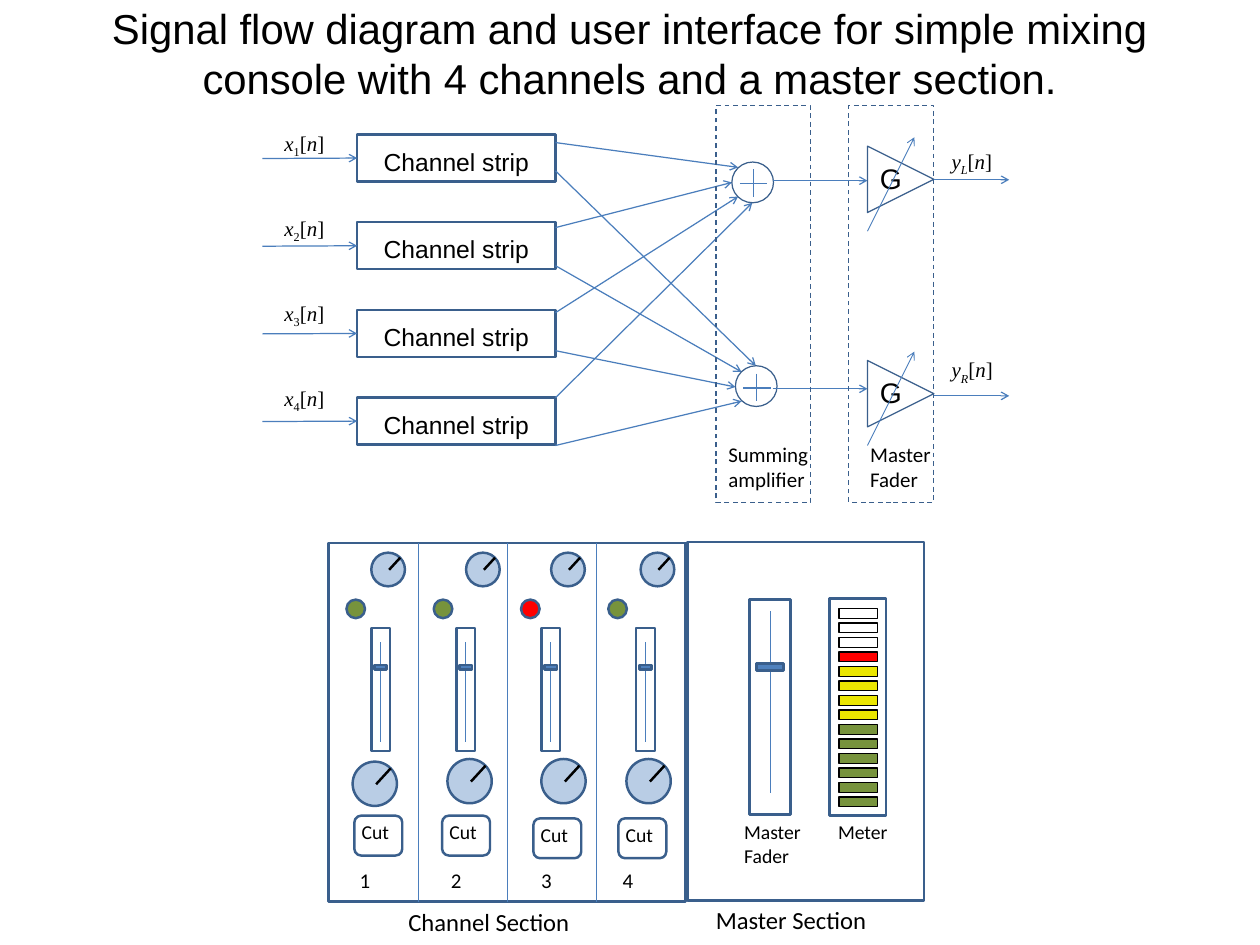
from lxml.etree import SubElement
from pptx import Presentation
from pptx.dml.color import RGBColor
from pptx.enum.dml import MSO_LINE
from pptx.enum.shapes import MSO_CONNECTOR, MSO_SHAPE
from pptx.enum.text import MSO_ANCHOR, PP_ALIGN
from pptx.oxml.ns import qn
from pptx.util import Inches, Pt

BLACK = RGBColor(0x00, 0x00, 0x00)
OUTLINE = RGBColor(0x3A, 0x5F, 0x8C)
WIRE = RGBColor(0x4B, 0x7E, 0xBC)
CAP = RGBColor(0x4F, 0x81, 0xBD)
KNOB = RGBColor(0xB9, 0xCD, 0xE5)
GREEN = RGBColor(0x77, 0x93, 0x3C)
YELLOW = RGBColor(0xEB, 0xE6, 0x00)
RED = RGBColor(0xFF, 0x00, 0x00)


def add_box(slide, kind, left, top, width, height, fill=None, line=OUTLINE, weight=2):
    shape = slide.shapes.add_shape(
        kind, Inches(left), Inches(top), Inches(width), Inches(height))
    shape.shadow.inherit = False
    if fill is None:
        shape.fill.background()
    else:
        shape.fill.solid()
        shape.fill.fore_color.rgb = fill
    shape.line.color.rgb = line
    shape.line.width = Pt(weight)
    return shape


def add_line(slide, start, end, color=WIRE, weight=1, arrow=False):
    connector = slide.shapes.add_connector(
        MSO_CONNECTOR.STRAIGHT, *(Inches(value) for value in (*start, *end)))
    connector.line.color.rgb = color
    connector.line.width = Pt(weight)
    if arrow:
        SubElement(connector.line._get_or_add_ln(), qn("a:tailEnd"), type="arrow")
    SubElement(connector._element.spPr, qn("a:effectLst"))
    return connector


def add_run(paragraph, text, size, font, italic=False, subscript=False):
    run = paragraph.add_run()
    run.text = text
    run.font.size = Pt(size)
    run.font.name = font
    run.font.italic = italic
    run.font.color.rgb = BLACK
    if subscript:
        run._r.get_or_add_rPr().set("baseline", "-25000")


def set_insets(frame, left, top, right=0, bottom=0):
    frame.word_wrap = True
    frame.margin_left, frame.margin_top = Inches(left), Inches(top)
    frame.margin_right, frame.margin_bottom = Inches(right), Inches(bottom)


def add_label(slide, left, top, width, height, lines, size, font="Calibri",
              insets=(0.1, 0.05)):
    frame = slide.shapes.add_textbox(
        Inches(left), Inches(top), Inches(width), Inches(height)).text_frame
    set_insets(frame, *insets)
    for index, line in enumerate(lines):
        paragraph = frame.add_paragraph() if index else frame.paragraphs[0]
        add_run(paragraph, line, size, font)
    return frame


def add_signal_name(slide, left, top, letter, index, italic_index):
    frame = add_label(slide, left, top, 0.8, 0.43, [], 17, insets=(0.14, 0.07))
    for text, italic, subscript in ((letter, True, False), (index, italic_index, True),
                                    ("[", False, False), ("n", True, False),
                                    ("]", False, False)):
        add_run(frame.paragraphs[0], text, 17, "Times New Roman", italic, subscript)


def add_title(slide, left, top, width, height):
    text = ("Signal flow diagram and user interface for simple mixing "
            "console with 4 channels and a master section.")
    frame = add_label(slide, left, top, width, height, [text], 34, "Arial",
                      (0.14, 0.07, 0.14, 0.07))
    frame.vertical_anchor = MSO_ANCHOR.MIDDLE
    frame.paragraphs[0].alignment = PP_ALIGN.CENTER


def add_channel_strip(slide, left, top, number):
    strip = add_box(slide, MSO_SHAPE.RECTANGLE, left + 1.07, top, 2.24, 0.53)
    set_insets(strip.text_frame, 0, 0.07)
    strip.text_frame.vertical_anchor = MSO_ANCHOR.MIDDLE
    paragraph = strip.text_frame.paragraphs[0]
    paragraph.alignment = PP_ALIGN.CENTER
    add_run(paragraph, "Channel strip", 20, "Arial")
    entry = add_line(slide, (left, top + 0.27), (left + 1.07, top + 0.27), arrow=True)
    entry.end_connect(strip, 1)
    add_signal_name(slide, left + 0.11, top - 0.12 - 0.03 * (number - 1),
                    "x", str(number), False)


def add_summing_node(slide, left, top, cross_y):
    add_box(slide, MSO_SHAPE.OVAL, left, top, 0.47, 0.46, weight=1)
    add_line(slide, (left + 0.09, cross_y), (left + 0.4, cross_y))
    add_line(slide, (left + 0.24, cross_y - 0.16), (left + 0.24, cross_y + 0.15))


def add_output_stage(slide, left, top, output_y, name_y, side):
    triangle = add_box(slide, MSO_SHAPE.ISOSCELES_TRIANGLE, left, top, 0.75, 0.75, weight=1)
    triangle.rotation = 90
    add_label(slide, left, top + 0.1, 0.54, 0.53, ["G"], 23, "Arial", (0.14, 0.07))
    add_line(slide, (left, top + 0.96), (left + 0.53, top - 0.1), weight=0.75, arrow=True)
    add_line(slide, (left + 0.75, output_y), (left + 1.6, output_y), arrow=True)
    add_signal_name(slide, left + 0.81, name_y, "y", side, True)


def add_signal_flow(slide, left, top):
    for index in range(4):
        add_channel_strip(slide, left, top + 0.33 + 0.99 * index, index + 1)

    # Wires from the strips to the left and right sums
    wires = ((0.42, 5.37, 0.7), (1.38, 5.3, 0.87), (2.34, 5.37, 1.03), (3.3, 5.53, 1.1),
             (0.74, 5.57, 2.94), (1.81, 5.41, 3.01), (2.77, 5.34, 3.18), (3.84, 5.41, 3.34))
    for start_y, end_x, end_y in wires:
        add_line(slide, (left + 3.31, top + start_y), (left + end_x, top + end_y), arrow=True)

    # Sums, gains and outputs
    add_summing_node(slide, left + 5.3, top + 0.64, top + 0.88)
    add_summing_node(slide, left + 5.34, top + 2.94, top + 3.19)
    for wire_y in (0.85, 3.2):
        add_line(slide, (left + 5.76, top + wire_y), (left + 6.83, top + wire_y), arrow=True)
    add_output_stage(slide, left + 6.83, top + 0.46, top + 0.84, top + 0.42, "L")
    add_output_stage(slide, left + 6.83, top + 2.88, top + 3.28, top + 2.77, "R")

    # Dashed stage frames
    for frame_x, width, text_x, lines in ((5.12, 1.07, 5.12, ["Summing", "amplifier"]),
                                          (6.62, 0.96, 6.72, ["Master", "Fader"])):
        frame = add_box(slide, MSO_SHAPE.RECTANGLE, left + frame_x, top, width, 4.48, weight=1)
        frame.line.dash_style = MSO_LINE.DASH
        add_label(slide, left + text_x, top + 3.73, 1.19, 0.72, lines, 17, insets=(0.14, 0.07))


def add_knob(slide, left, top, size):
    add_box(slide, MSO_SHAPE.OVAL, left, top, size, size, KNOB)
    add_line(slide, (left + 0.53 * size, top + 0.51 * size),
             (left + 0.86 * size, top + 0.15 * size), BLACK, 2)


def add_fader(slide, left, top, width, height, track, cap):
    track_start, track_end = track
    cap_y, cap_width, cap_height = cap
    middle = left + width / 2
    add_box(slide, MSO_SHAPE.RECTANGLE, left, top, width, height)
    add_line(slide, (middle, top + track_start), (middle, top + track_end), weight=0.75)
    add_box(slide, MSO_SHAPE.RECTANGLE, middle - cap_width / 2, top + cap_y,
            cap_width, cap_height, CAP)


def add_channel_section(slide, left, top, width, height):
    add_box(slide, MSO_SHAPE.RECTANGLE, left, top, width, height)
    for divider in range(1, 4):
        x = left + divider * width / 4
        add_line(slide, (x, top), (x, top + height), weight=0.75)

    # Pan knob, lamp, fader, gain knob, cut button and number of each channel
    channels = ((0.48, GREEN, 0.48, 0.27, 2.47, 0.29, 3.08, 0.25),
                (1.55, GREEN, 1.44, 1.34, 2.44, 1.28, 3.08, 1.28),
                (2.51, RED, 2.4, 2.4, 2.44, 2.31, 3.11, 2.3),
                (3.52, GREEN, 3.47, 3.36, 2.44, 3.27, 3.11, 3.22))
    for index, (pan_x, lamp, fader_x, gain_x, gain_y, cut_x, cut_y, number_x) in enumerate(channels):
        add_knob(slide, left + pan_x, top + 0.11, 0.38)
        add_box(slide, MSO_SHAPE.OVAL, left + 0.2 + 0.985 * index, top + 0.64, 0.21, 0.21, lamp)
        add_fader(slide, left + fader_x, top + 0.96, 0.21, 1.39, (0.16, 1.29), (0.42, 0.14, 0.05))
        add_knob(slide, left + gain_x, top + gain_y, 0.5)
        button = add_box(slide, MSO_SHAPE.ROUNDED_RECTANGLE, left + cut_x, top + cut_y, 0.54, 0.45)
        set_insets(button.text_frame, 0.06, 0.03)
        button.text_frame.vertical_anchor = MSO_ANCHOR.TOP
        button.text_frame.paragraphs[0].alignment = PP_ALIGN.LEFT
        add_run(button.text_frame.paragraphs[0], "Cut", 16, "Calibri")
        add_label(slide, left + number_x, top + 3.62, 0.4, 0.39, [str(index + 1)], 17)
    add_label(slide, left + 0.8, top + 4.06, 2.1, 0.44, ["Channel Section"], 20)


def add_master_section(slide, left, top, width, height):
    add_box(slide, MSO_SHAPE.RECTANGLE, left, top, width, height)
    add_fader(slide, left + 0.7, top + 0.65, 0.46, 2.43, (0.13, 2.18), (0.72, 0.31, 0.08))
    add_label(slide, left + 0.54, top + 3.09, 0.96, 0.64, ["Master", "Fader"], 16)

    # Level meter
    add_box(slide, MSO_SHAPE.RECTANGLE, left + 1.6, top + 0.64, 0.64, 2.45)
    for index, color in enumerate([None] * 3 + [RED] + [YELLOW] * 4 + [GREEN] * 6):
        add_box(slide, MSO_SHAPE.RECTANGLE, left + 1.71, top + 0.75 + 2.13 * index / 13,
                0.43, 0.11, color, BLACK, 1)
    add_label(slide, left + 1.6, top + 3.09, 0.96, 0.37, ["Meter"], 16)
    add_label(slide, left + 0.22, top + 4.05, 2, 0.44, ["Master Section"], 20)


def main():
    presentation = Presentation()
    presentation.slide_width, presentation.slide_height = Inches(14.22), Inches(10.67)
    slide = presentation.slides.add_slide(presentation.slide_layouts[6])
    add_title(slide, 0.71, 0, 12.8, 1.19)
    add_signal_flow(slide, 2.96, 1.19)
    add_channel_section(slide, 3.71, 6.13, 4.03, 4.05)
    add_master_section(slide, 7.76, 6.12, 2.67, 4.05)
    presentation.save("out.pptx")


if __name__ == "__main__":
    main()
